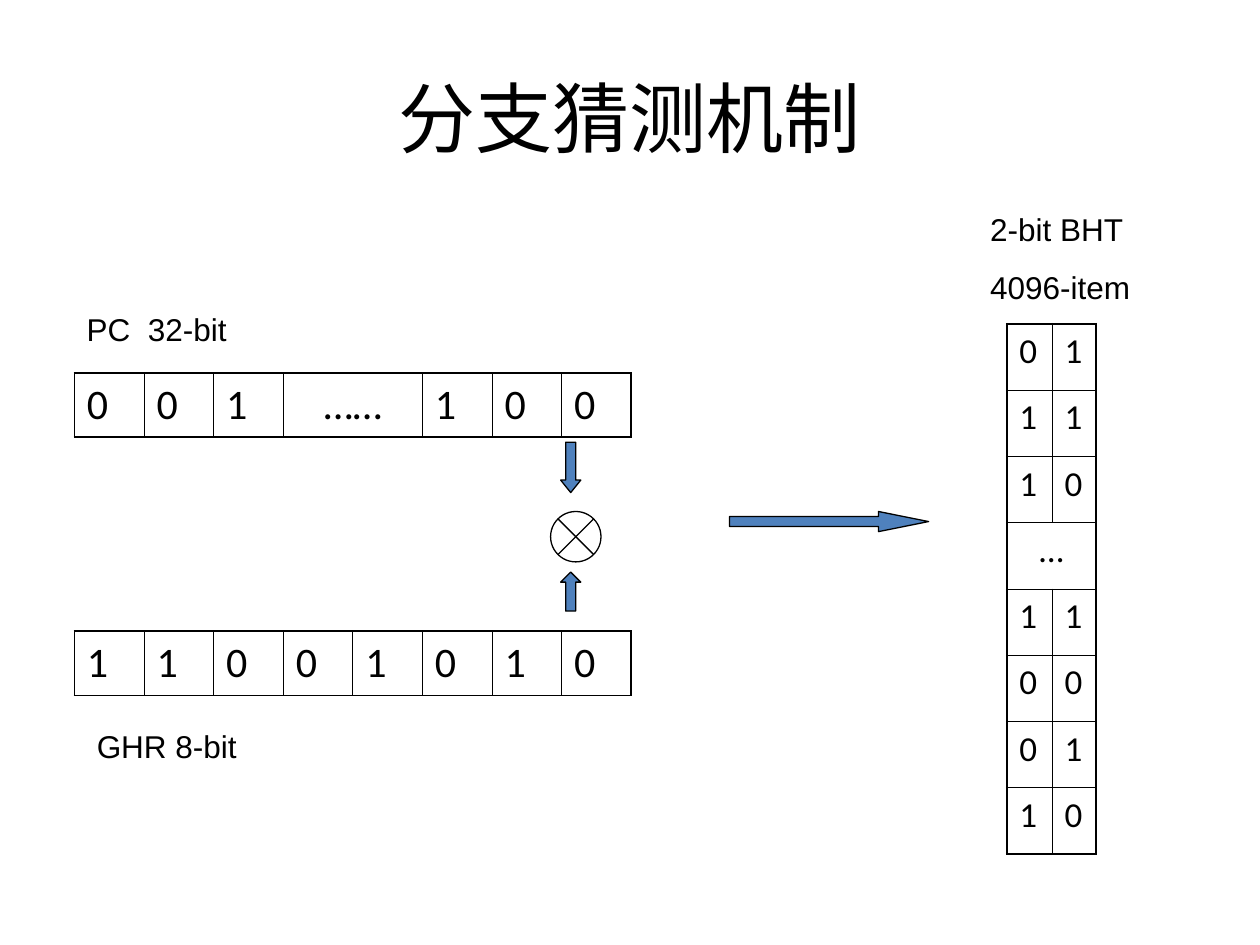
import pptx
import pptx.dml.color
import pptx.enum.shapes
import pptx.enum.text
import pptx.oxml
import pptx.oxml.ns
import pptx.util

Inches, Pt = pptx.util.Inches, pptx.util.Pt
Shape = pptx.enum.shapes.MSO_SHAPE
Align = pptx.enum.text.PP_ALIGN
Anchor = pptx.enum.text.MSO_ANCHOR

BLACK, BLUE = "000000", "4F81BD"
THICK, THIN = 1.08, 0.45

# Content: text, position, size
TITLE = "分支猜测机制"
LABELS = [
    (["2-bit BHT", "4096-item"], (7.76, 1.62, 1.34, 0.86)),
    (["GHR 8-bit"], (0.67, 5.72, 1.5, 0.4)),
    (["PC  32-bit"], (0.59, 2.41, 1.34, 0.4)),
]

# Tables: rows, relative column widths, area, font size
# None joins the cell to its left neighbour
TABLES = [
    ([["0", "0", "1", "……", "1", "0", "0"]], [1, 1, 1, 2, 1, 1, 1],
     (0.59, 2.96, 4.42, 0.51), 24),
    ([["1", "1", "0", "0", "1", "0", "1", "0"]], [1] * 8,
     (0.59, 5.01, 4.42, 0.51), 24),
    ([["0", "1"], ["1", "1"], ["1", "0"], ["…", None],
      ["1", "1"], ["0", "0"], ["0", "1"], ["1", "0"]], [36, 35],
     (7.99, 2.57, 0.71, 4.21), 20),
]

# Symbols: preset, area, fill, adjustments
SYMBOLS = [
    (Shape.FLOWCHART_SUMMING_JUNCTION, (4.37, 4.06, 0.4, 0.4), None, []),
    (Shape.DOWN_ARROW, (4.45, 3.51, 0.16, 0.4), BLUE, [0.5, 0.62]),
    (Shape.UP_ARROW, (4.45, 4.54, 0.16, 0.31), BLUE, [0.5, 0.5]),
    (Shape.RIGHT_ARROW, (5.79, 4.06, 1.58, 0.16), BLUE, [0.5, 2.49]),
]


def color(value):
    return pptx.dml.color.RGBColor.from_string(value)


def inches(area):
    return [Inches(value) for value in area]


def add_span(para, text, size, font):
    span = para.add_run()
    span.text = text
    span.font.size, span.font.name = Pt(size), font
    span.font.color.rgb = color(BLACK)


def add_text(page, lines, area, size, font, align=Align.LEFT, anchor=Anchor.TOP):
    frame = page.shapes.add_textbox(*inches(area)).text_frame
    frame.word_wrap, frame.vertical_anchor = True, anchor
    for index, line in enumerate(lines):
        para = frame.paragraphs[0] if index == 0 else frame.add_paragraph()
        para.alignment = align
        if index:
            para.space_before = Pt(11.2)
        add_span(para, line, size, font)


def set_borders(cell, widths):
    """Widths run left, right, top, bottom, in points."""
    properties = cell._tc.get_or_add_tcPr()
    for index, (side, width) in enumerate(zip("LRTB", widths)):
        properties.insert(index, pptx.oxml.parse_xml(
            f'<a:ln{side} {pptx.oxml.ns.nsdecls("a")} w="{int(Pt(width))}">'
            f'<a:solidFill><a:srgbClr val="{BLACK}"/></a:solidFill></a:ln{side}>'))


def add_bit_table(page, rows, weights, area, size):
    row_count, column_count = len(rows), len(weights)
    table = page.shapes.add_table(row_count, column_count, *inches(area)).table
    table.first_row = table.horz_banding = False
    for column, weight in zip(table.columns, weights):
        column.width = Inches(area[2] * weight / sum(weights))
    for row in table.rows:
        row.height = Inches(area[3] / row_count)

    for r, values in enumerate(rows):
        for c, value in enumerate(values):
            cell = table.cell(r, c)
            cell.fill.background()
            joined = c + 1 < column_count and values[c + 1] is None
            last = c + joined == column_count - 1
            outer = (c == 0, last, r == 0, r == row_count - 1)
            set_borders(cell, [THICK if edge else THIN for edge in outer])
            if value is None:
                table.cell(r, c - 1).merge(cell)
                continue
            para = cell.text_frame.paragraphs[0]
            para.alignment = Align.LEFT if value.isdigit() else Align.CENTER
            add_span(para, value, size, "Calibri")


def add_symbol(page, preset, area, fill, adjustments):
    shape = page.shapes.add_shape(preset, *inches(area))
    shape.shadow.inherit = False
    for index, value in enumerate(adjustments):
        shape.adjustments[index] = value
    if fill:
        shape.fill.solid()
        shape.fill.fore_color.rgb = color(fill)
    else:
        shape.fill.background()
    shape.line.color.rgb = color(BLACK)
    shape.line.width = Pt(0.75)


def main():
    deck = pptx.Presentation()
    deck.slide_width, deck.slide_height = Inches(10), Inches(7.5)
    page = deck.slides.add_slide(deck.slide_layouts[6])

    add_text(page, [TITLE], (0.5, 0.3, 9, 1.25), 44, "Calibri", Align.CENTER, Anchor.MIDDLE)
    for table in TABLES:
        add_bit_table(page, *table)
    for lines, area in LABELS:
        add_text(page, lines, area, 18, "Arial")
    for symbol in SYMBOLS:
        add_symbol(page, *symbol)

    deck.save("out.pptx")


if __name__ == "__main__":
    main()
